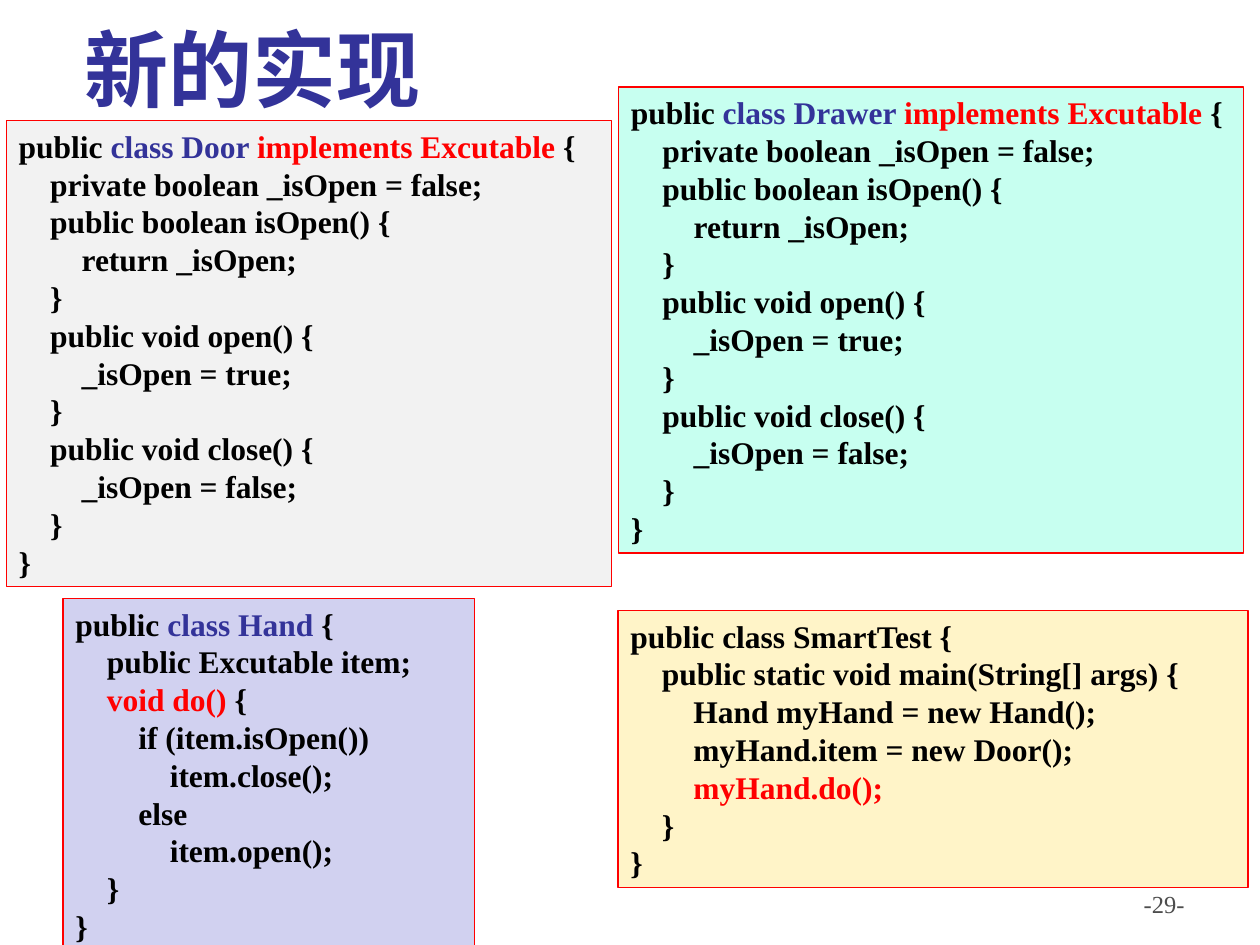
from dataclasses import dataclass
from typing import NamedTuple

from pptx import Presentation
from pptx.dml.color import RGBColor
from pptx.enum import shapes, text
from pptx.util import Pt

BLACK = RGBColor(0x00, 0x00, 0x00)
NAVY = RGBColor(0x33, 0x33, 0x99)
RED = RGBColor(0xFF, 0x00, 0x00)
DARK_GRAY = RGBColor(0x4D, 0x4D, 0x4D)
LIGHT_GRAY = RGBColor(0xF2, 0xF2, 0xF2)
LAVENDER = RGBColor(0xD1, 0xD1, 0xF0)
MINT = RGBColor(0xC7, 0xFF, 0xF0)
CREAM = RGBColor(0xFF, 0xF4, 0xC8)
SERIF = "Times New Roman"


class Token(NamedTuple):
    text: str
    color: RGBColor = BLACK


Line = list[Token]


@dataclass
class CodeBox:
    left: float
    top: float
    width: float
    height: float
    fill: RGBColor
    lines: list[Line]


@dataclass
class Label:
    left: float
    top: float
    width: float
    height: float
    text: str
    font: str
    size: float
    color: RGBColor
    bold: bool
    align: text.PP_ALIGN
    anchor: text.MSO_ANCHOR


def plain(source: str) -> list[Line]:
    return [[Token(line)] for line in source.strip("\n").split("\n")]


def executable_class(name: str) -> list[Line]:
    """Source of a class that can be opened and closed."""
    heading = [Token("public "), Token(f"class {name} ", NAVY),
               Token("implements Excutable", RED), Token(" {")]
    return [heading] + plain("""
    private boolean _isOpen = false;
    public boolean isOpen() {
        return _isOpen;
    }
    public void open() {
        _isOpen = true;
    }
    public void close() {
        _isOpen = false;
    }
}""")


HAND = [
    [Token("public "), Token("class Hand", NAVY), Token(" {")],
    *plain("    public Excutable item;"),
    [Token("    "), Token("void do()", RED), Token(" {")],
    *plain("""
        if (item.isOpen())
            item.close();
        else
            item.open();
    }
}"""),
]

SMART_TEST = [
    *plain("""
public class SmartTest {
    public static void main(String[] args) {
        Hand myHand = new Hand();
        myHand.item = new Door();"""),
    [Token("        "), Token("myHand.do();", RED)],
    *plain("""
    }
}"""),
]

LABELS = [
    Label(516.2, 504.7, 167.8, 37.4, "-29-", SERIF, 14, DARK_GRAY, False,
          text.PP_ALIGN.RIGHT, text.MSO_ANCHOR.TOP),
    Label(41, 20.2, 625, 51.1, "新的实现", "Cabin", 48, NAVY, True,
          text.PP_ALIGN.LEFT, text.MSO_ANCHOR.BOTTOM),
]

CODE_BOXES = [
    CodeBox(3.6, 69, 345.8, 266.4, LIGHT_GRAY, executable_class("Door")),
    CodeBox(36, 342, 235.2, 201.6, LAVENDER, HAND),
    CodeBox(353.4, 49.7, 357.4, 266.4, MINT, executable_class("Drawer")),
    CodeBox(353.2, 348.8, 360, 158.4, CREAM, SMART_TEST),
]


def draw_label(slide, label: Label) -> None:
    box = slide.shapes.add_textbox(Pt(label.left), Pt(label.top),
                                   Pt(label.width), Pt(label.height))
    frame = box.text_frame
    frame.word_wrap = True
    frame.vertical_anchor = label.anchor
    paragraph = frame.paragraphs[0]
    paragraph.text = label.text
    paragraph.alignment = label.align
    font = paragraph.font
    font.name, font.size, font.bold = label.font, Pt(label.size), label.bold
    font.color.rgb = label.color


def draw_code(slide, code: CodeBox) -> None:
    panel = slide.shapes.add_shape(
        shapes.MSO_SHAPE.RECTANGLE, Pt(code.left), Pt(code.top),
        Pt(code.width), Pt(code.height))
    panel.shadow.inherit = False
    panel.fill.solid()
    panel.fill.fore_color.rgb = code.fill
    panel.line.color.rgb = RED
    panel.line.width = Pt(0.75)

    frame = panel.text_frame
    frame.word_wrap = True
    frame.auto_size = text.MSO_AUTO_SIZE.SHAPE_TO_FIT_TEXT
    frame.vertical_anchor = text.MSO_ANCHOR.TOP
    for index, line in enumerate(code.lines):
        paragraph = frame.add_paragraph() if index else frame.paragraphs[0]
        paragraph.alignment = text.PP_ALIGN.LEFT
        font = paragraph.font
        font.name, font.size, font.bold = SERIF, Pt(18), True
        for token in line:
            run = paragraph.add_run()
            run.text = token.text
            run.font.color.rgb = token.color


def main() -> None:
    deck = Presentation()
    deck.slide_width, deck.slide_height = Pt(720), Pt(540)
    slide = deck.slides.add_slide(deck.slide_layouts[6])

    # Page number and title
    for label in LABELS:
        draw_label(slide, label)

    # Source code of the four classes
    for code in CODE_BOXES:
        draw_code(slide, code)

    deck.save("out.pptx")


if __name__ == "__main__":
    main()
